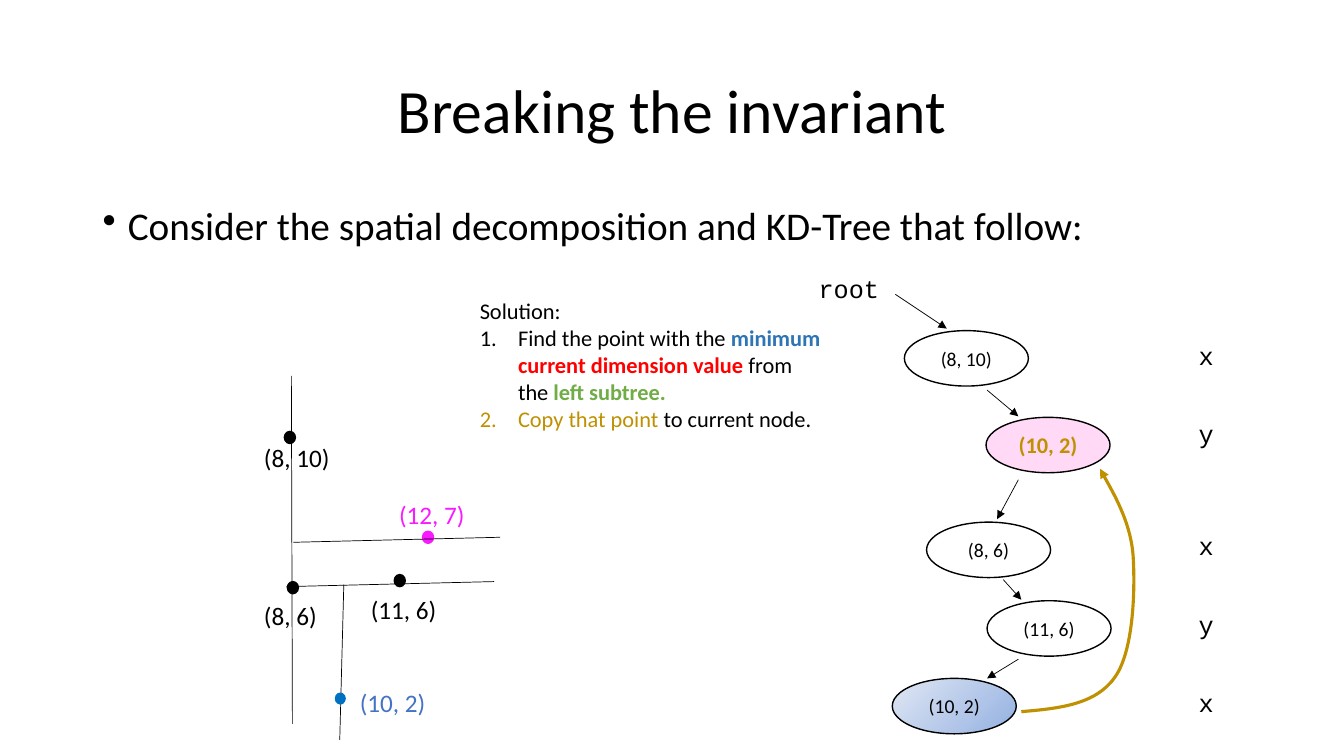
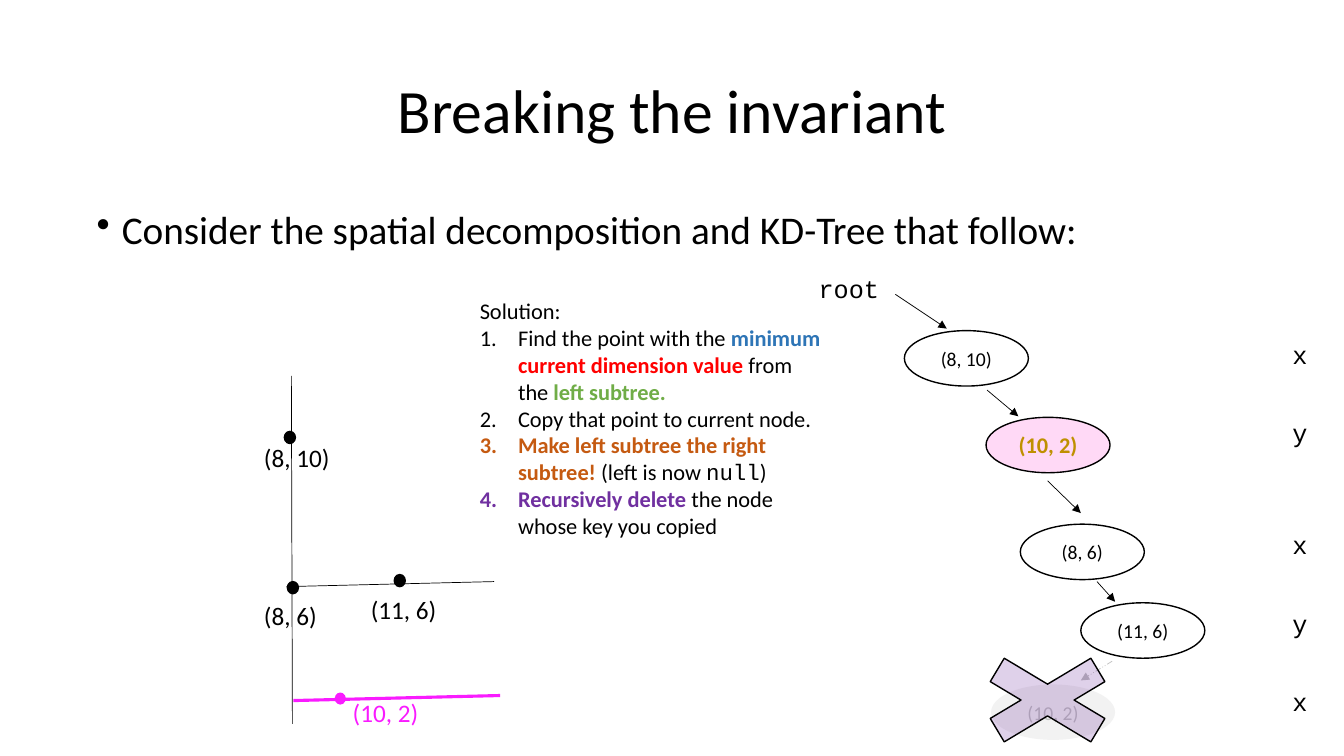
from dataclasses import dataclass
from lxml.etree import SubElement
from pptx import Presentation
from pptx.dml.color import RGBColor
from pptx.enum.dml import MSO_LINE as Dash
from pptx.enum.shapes import MSO_CONNECTOR as Connector, MSO_SHAPE as Shape
from pptx.enum.text import MSO_ANCHOR as Anchor, PP_ALIGN as Align
from pptx.oxml.ns import qn
from pptx.util import Inches, Pt


@dataclass(frozen=True)
class Theme:
    black: str = "000000"
    magenta: str = "F91BFF"
    pink: str = "FFD9F6"
    gold: str = "BF9000"
    point_blue: str = "0070C0"
    label_blue: str = "4472C4"
    blue: str = "2E75B6"
    red: str = "FF0000"
    green: str = "70AD47"
    orange: str = "C55A11"
    purple: str = "7030A0"
    grey: str = "BFBFBF"
    pale_grey: str = "F2F2F2"
    gradient: tuple = ("94B1E1", "E0E7F4")
    body_font: str = "Calibri"
    code_font: str = "Courier New"
    title_size: int = 44
    body_size: int = 28
    label_size: int = 18
    solution_size: int = 16
    node_size: int = 14
    thin: float = 0.5
    outline: float = 1
    thick: float = 2.25


@dataclass(frozen=True)
class Box:
    left: float
    top: float
    width: float
    height: float

    def at(self, x, y):
        return Inches(self.left + x), Inches(self.top + y)

    def inner(self, x, y, width, height):
        return Box(self.left + x, self.top + y, width, height)

    def lengths(self):
        return [Inches(n) for n in (self.left, self.top, self.width, self.height)]


THEME = Theme()
NODE = (1.23, 0.55)
DOT = (0.11, 0.12)
DEPTHS = (("x", 0), ("y", 0.77), ("x", 1.88), ("y", 2.67), ("x", 3.44))


# Shared formatting
def rgb(color):
    return RGBColor.from_string(color)


def apply_format(target, values):
    for name, value in values.items():
        setattr(target, name, value)


def style_font(font, color=THEME.black, size=THEME.label_size, name=THEME.body_font,
               bold=False):
    apply_format(font, {"name": name, "size": Pt(size), "bold": bold})
    font.color.rgb = rgb(color)


def style_line(line, color, width):
    line.fill.solid()
    line.color.rgb = rgb(color)
    line.width = Pt(width)


def add_arrowhead(shape):
    line = shape.line._get_or_add_ln()
    SubElement(line, qn("a:tailEnd"), type="triangle")


def add_runs(paragraph, runs, **shared):
    for text, changes in runs:
        run = paragraph.add_run()
        run.text = text
        style_font(run.font, **{**shared, **changes})


def add_text(slide, box, text, **style):
    shape = slide.shapes.add_textbox(*box.lengths())
    shape.text_frame.word_wrap = True
    add_runs(shape.text_frame.paragraphs[0], [(text, style)])
    return shape.text_frame


def add_marker(paragraph, indent, tag, **attributes):
    properties = paragraph._p.get_or_add_pPr()
    properties.set("marL", str(Inches(indent)))
    properties.set("indent", str(-Inches(indent)))
    SubElement(properties, qn(tag), **attributes)


def add_segment(slide, box, start, end, color=THEME.black, width=THEME.thin,
                arrow=False, dash=None):
    connector = slide.shapes.add_connector(
        Connector.STRAIGHT, *box.at(*start), *box.at(*end))
    style_line(connector.line, color, width)
    if dash:
        connector.line.dash_style = dash
    if arrow:
        add_arrowhead(connector)
    SubElement(connector._element.spPr, qn("a:effectLst"))


def add_figure(slide, box, kind=Shape.OVAL, fill=None, outline=THEME.black):
    shape = slide.shapes.add_shape(kind, *box.lengths())
    shape.shadow.inherit = False
    if fill:
        shape.fill.solid()
        shape.fill.fore_color.rgb = rgb(fill)
    else:
        shape.fill.background()
    if outline:
        style_line(shape.line, outline, THEME.outline)
    else:
        shape.line.fill.background()
    return shape


def add_node(slide, box, place, text, fill=None, outline=THEME.black, **style):
    shape = add_figure(slide, box.inner(*place, *NODE), fill=fill, outline=outline)
    apply_format(shape.text_frame, {"vertical_anchor": Anchor.MIDDLE, "word_wrap": True})
    paragraph = shape.text_frame.paragraphs[0]
    paragraph.alignment = Align.CENTER
    add_runs(paragraph, [(text, {"size": THEME.node_size, **style})])
    return shape


# Title and bullet
def draw_heading(slide, title_box, body_box):
    frame = add_text(slide, title_box, "Breaking the invariant", size=THEME.title_size)
    frame.vertical_anchor = Anchor.MIDDLE
    apply_format(frame.paragraphs[0], {"alignment": Align.CENTER, "line_spacing": 0.9})
    frame = add_text(slide, body_box,
                     "Consider the spatial decomposition and KD-Tree that follow:",
                     size=THEME.body_size)
    add_marker(frame.paragraphs[0], 0.25, "a:buChar", char="•")
    frame.paragraphs[0].line_spacing = 0.9


# Numbered solution steps
def draw_solution(slide, box, steps):
    find_step = [
        ("Find the point with the ", {}),
        ("minimum ", {"color": THEME.blue, "bold": True}),
        ("current dimension value", {"color": THEME.red, "bold": True}),
        (" from the ", {}),
        ("left subtree.", {"color": THEME.green, "bold": True}),
    ]
    frame = add_text(slide, box, "Solution:", size=THEME.solution_size)
    for runs in (find_step, *steps):
        paragraph = frame.add_paragraph()
        add_marker(paragraph, 0.38, "a:buAutoNum", type="arabicPeriod")
        add_runs(paragraph, runs, size=THEME.solution_size)


# Spatial decomposition
def draw_point(slide, box, text, dot, label, fill=THEME.black, outline=THEME.black,
               color=THEME.black):
    add_figure(slide, box.inner(*dot, *DOT), fill=fill, outline=outline)
    add_text(slide, box.inner(*label, 1.14, 0.4), text, color=color)


def draw_plane(slide, box):
    add_segment(slide, box, (0.39, 0.03), (0.4, 3.48))
    add_segment(slide, box, (0.34, 2.12), (2.4, 2.07))
    for text, dot, label in (
        ("(8, 10)", (0.32, 0.58), (0.02, 0.64)),
        ("(8, 6)", (0.35, 2.07), (0.02, 2.21)),
        ("(11, 6)", (1.41, 2), (1.08, 2.15)),
    ):
        draw_point(slide, box, text, dot, label)


def draw_plane_before(slide, box):
    draw_plane(slide, box)
    add_segment(slide, box, (0.91, 2.1), (0.87, 3.64))
    draw_point(slide, box, "(12, 7)", (1.69, 1.57), (1.36, 1.2),
               fill=THEME.magenta, outline=THEME.magenta, color=THEME.magenta)
    add_segment(slide, box, (0.41, 1.68), (2.46, 1.63))
    draw_point(slide, box, "(10, 2)", (0.82, 3.17), (0.97, 3.07),
               fill=THEME.point_blue, outline=None, color=THEME.label_blue)


def draw_plane_after(slide, box):
    draw_plane(slide, box)
    add_segment(slide, box, (0.41, 3.25), (2.46, 3.2), THEME.magenta, THEME.thick)
    draw_point(slide, box, "(10, 2)", (0.82, 3.17), (0.9, 3.17),
               fill=THEME.magenta, outline=None, color=THEME.magenta)


# KD-Tree
def draw_tree_top(slide, box):
    add_text(slide, box.inner(0, 0, 0.86, 0.4), "root", name=THEME.code_font)
    add_segment(slide, box, (0.86, 0.26), (1.37, 0.6), arrow=True)
    add_node(slide, box, (0.95, 0.62), "(8, 10)")
    add_segment(slide, box, (1.77, 1.21), (2.08, 1.47), arrow=True)
    add_node(slide, box, (1.76, 1.48), "(10, 2)", fill=THEME.pink,
             color=THEME.gold, size=THEME.solution_size, bold=True)


def draw_subtree(slide, box, **last_arrow):
    add_node(slide, box, (0.34, 0), "(8, 6)")
    add_segment(slide, box, (1.1, 0.57), (1.28, 0.77), arrow=True)
    add_node(slide, box, (0.94, 0.78), "(11, 6)")
    add_segment(slide, box, (1.25, 1.36), (0.94, 1.55), arrow=True, **last_arrow)


def draw_depths(slide, box):
    for axis, offset in DEPTHS:
        add_text(slide, box.inner(0, offset, box.width, 0.4), axis, name=THEME.code_font)


def draw_copy_curve(slide, box):
    start, *controls = (
        (0, 2.41), (0.37, 2.38), (0.73, 2.34), (0.92, 2.08), (1.11, 1.83),
        (1.13, 1.23), (1.11, 0.88), (1.09, 0.53), (0.78, 0), (0.78, 0))
    builder = slide.shapes.build_freeform(*box.at(*start))
    builder.add_line_segments([box.at(*point) for point in controls], close=False)
    curve = builder.convert_to_shape()
    curve.shadow.inherit = False
    curve.fill.background()
    style_line(curve.line, THEME.gold, THEME.thick)
    add_arrowhead(curve)
    # Each three points become one cubic segment
    outline = next(curve._element.iter(qn("a:path")))
    lines = outline.findall(qn("a:lnTo"))
    for first in range(0, len(lines), 3):
        cubic = SubElement(outline, qn("a:cubicBezTo"))
        for line in lines[first:first + 3]:
            cubic.append(line[0])
            outline.remove(line)


def draw_tree_before(slide, box):
    draw_tree_top(slide, box)
    add_segment(slide, box, (2.08, 2.1), (1.87, 2.49), arrow=True)
    subtree = box.inner(0.83, 2.52, 2.17, 2.1)
    draw_subtree(slide, subtree)
    leaf = add_node(slide, subtree, (0, 1.55), "(10, 2)")
    leaf.fill.gradient()
    leaf.fill.gradient_angle = 135
    for stop, color in zip(leaf.fill.gradient_stops, THEME.gradient):
        stop.color.rgb = rgb(color)
    draw_depths(slide, box.inner(3.77, 0.67, 0.44, 3.84))
    draw_copy_curve(slide, box.inner(2.11, 1.99, 1.12, 2.42))


def draw_tree_after(slide, box):
    draw_tree_top(slide, box)
    add_segment(slide, box, (2.37, 2.11), (2.7, 2.43), arrow=True)
    subtree = box.inner(1.76, 2.54, 2.17, 2.15)
    draw_subtree(slide, subtree, color=THEME.grey, dash=Dash.DASH_DOT_DOT)
    add_node(slide, subtree, (0.05, 1.59), "(10, 2)", fill=THEME.pale_grey,
             outline=None, color=THEME.grey)
    cross = add_figure(slide, subtree.inner(-0.35, 1.17, 1.92, 1.15),
                       Shape.MATH_MULTIPLY, fill=THEME.purple)
    fill_color = next(cross._element.spPr.iter(qn("a:srgbClr")))
    SubElement(fill_color, qn("a:alpha"), val="22000")
    draw_depths(slide, box.inner(4.7, 0.66, 0.44, 3.84))


def main():
    presentation = Presentation()
    apply_format(presentation, {"slide_width": Inches(13.33), "slide_height": Inches(7.5)})
    copy_step = [("Copy that point ", {"color": THEME.gold}), ("to current node.", {})]
    later_steps = [
        [("Copy that point to current node.", {})],
        [("Make left subtree the right subtree! ", {"color": THEME.orange, "bold": True}),
         ("(left is now ", {}), ("null", {"name": THEME.code_font}), (")", {})],
        [("Recursively delete ", {"color": THEME.purple, "bold": True}),
         ("the node whose key you copied", {})],
    ]
    title_box = Box(0.92, 0.4, 11.5, 1.45)
    plane_box = Box(2.5, 3.7, 2.5, 3.7)
    tree_box = Box(8.02, 2.66, 5.2, 4.8)
    for body_box, steps, draw_points, draw_tree in (
        (Box(0.92, 2, 11.5, 4.76), [copy_step], draw_plane_before, draw_tree_before),
        (Box(0.86, 2.04, 11.5, 4.76), later_steps, draw_plane_after, draw_tree_after),
    ):
        slide = presentation.slides.add_slide(presentation.slide_layouts[6])
        draw_heading(slide, title_box, body_box)
        draw_points(slide, plane_box)
        draw_solution(slide, Box(4.66, 2.9, 3.62, 2.52), steps)
        draw_tree(slide, tree_box)
    presentation.save("out.pptx")


if __name__ == "__main__":
    main()
